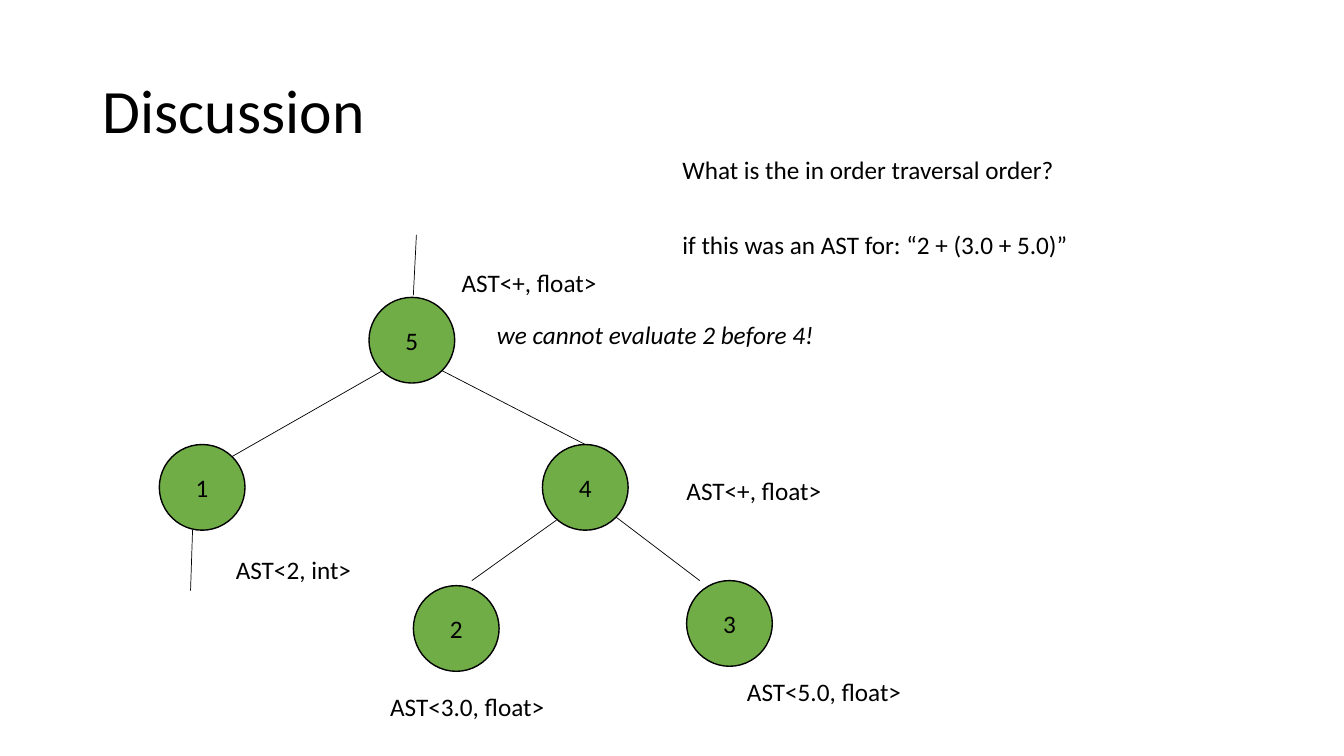
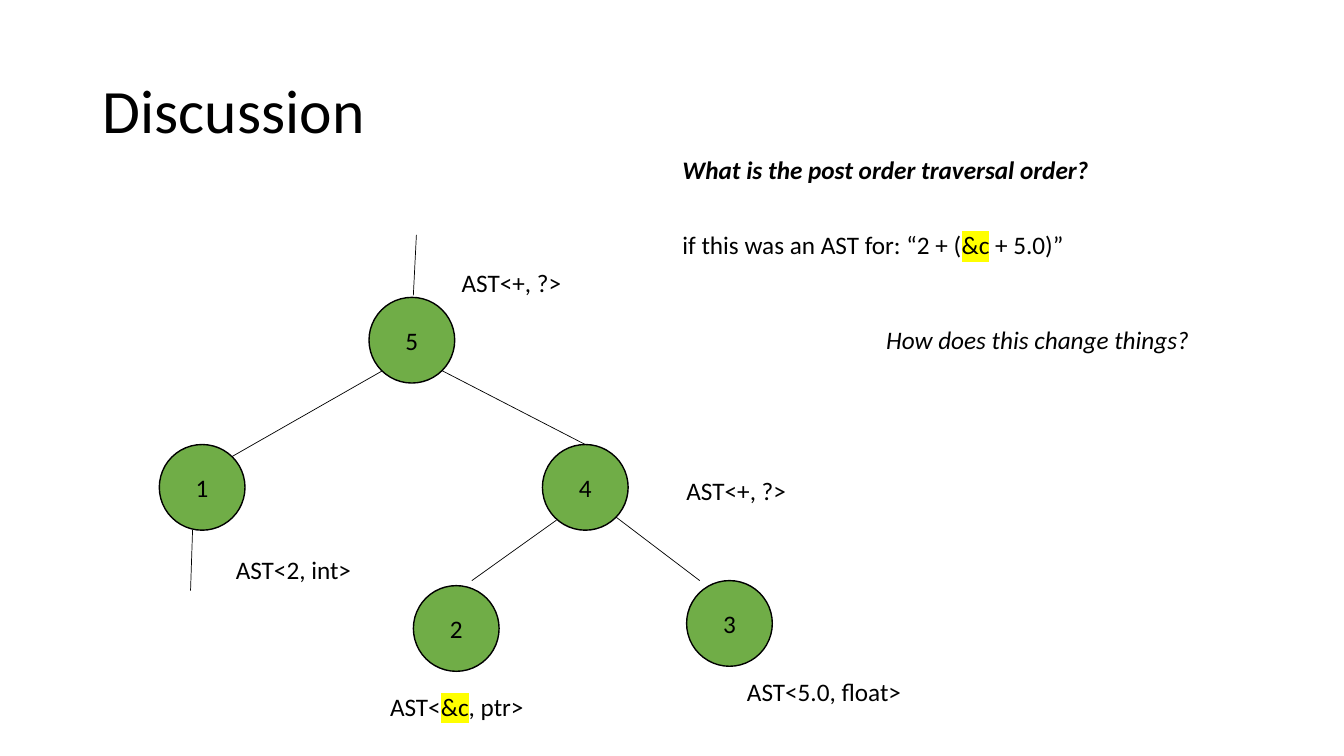
"""Build two discussion slides about traversing an abstract syntax tree."""
import pptx
import pptx.dml.color
import pptx.enum.shapes
import pptx.enum.text
import pptx.oxml
import pptx.oxml.ns
import pptx.util

Inches = pptx.util.Inches
Pt = pptx.util.Pt
RGBColor = pptx.dml.color.RGBColor

BLACK = RGBColor(0, 0, 0)
GREEN = RGBColor(0x70, 0xAD, 0x47)
YELLOW = RGBColor(0xFF, 0xFF, 0)
FONT = "Calibri"
NODE_SIZE = 0.85

NODES = {"5": (3.66, 2.95), "1": (1.58, 4.41), "4": (5.38, 4.41),
         "2": (4.1, 5.81), "3": (6.81, 5.76)}
EDGES = [((3.79, 3.68), (2.3, 4.53), None),
         ((4.39, 3.68), (5.81, 4.41), "4"),
         ((4.13, 2.33), (4.1, 2.93), None),
         ((1.91, 5.26), (1.89, 5.86), None),
         ((5.52, 5.16), (4.68, 5.76), None),
         ((6.11, 5.13), (6.94, 5.76), None)]
QUESTION = (6.67, 1.48)
EXPRESSION = (6.67, 2.23)
LABELS = {"5": (4.48, 2.6), "1": (2.24, 5.45), "4": (6.71, 4.67),
          "2": (3.77, 6.81), "3": (7.31, 6.66)}

SLIDES = [
    [("What is the in order traversal order?", QUESTION, 3.93, {}),
     ("if this was an AST for: “2 + (3.0 + 5.0)”", EXPRESSION, 4.07, {}),
     ("AST<+, float>", LABELS["5"], 1.55, {}),
     ("AST<2, int>", LABELS["1"], 1.36, {}),
     ("AST<+, float>", LABELS["4"], 1.55, {}),
     ("AST<3.0, float>", LABELS["2"], 1.75, {}),
     ("AST<5.0, float>", LABELS["3"], 1.75, {}),
     ("we cannot evaluate 2 before 4!", (4.83, 3.12), 3.39, {"italic": True})],
    [("What is the post order traversal order?", QUESTION, 4.29,
      {"bold": True, "italic": True}),
     ("if this was an AST for: “2 + (&c + 5.0)”", EXPRESSION, 4.04, {"mark": "&c"}),
     ("AST<+, ?>", LABELS["5"], 1.2, {}),
     ("AST<2, int>", LABELS["1"], 1.36, {}),
     ("AST<+, ?>", LABELS["4"], 1.2, {}),
     ("AST<&c, ptr>", LABELS["2"], 1.54, {"mark": "&c"}),
     ("AST<5.0, float>", LABELS["3"], 1.75, {}),
     ("How does this change things?", (8.69, 3.17), 3.25, {"italic": True})],
]


def write(tf, text, size=18, bold=False, italic=False, mark=None,
          align=pptx.enum.text.PP_ALIGN.LEFT, spacing=1.0):
    p = tf.paragraphs[0]
    p.alignment = align
    p.line_spacing = spacing
    for part in text.partition(mark) if mark else [text]:
        r = p.add_run()
        r.text = part
        r.font.size = Pt(size)
        r.font.bold = bold
        r.font.italic = italic
        r.font.name = FONT
        r.font.color.rgb = BLACK
        if part == mark:
            fill = r.font.fill._xPr.find(pptx.oxml.ns.qn("a:solidFill"))
            fill.addnext(pptx.oxml.parse_xml(
                f'<a:highlight {pptx.oxml.ns.nsdecls("a")}>'
                f'<a:srgbClr val="{YELLOW}"/></a:highlight>'))


class Deck:
    def __init__(self):
        self.prs = pptx.Presentation()
        self.prs.slide_width = Inches(13.33)
        self.prs.slide_height = Inches(7.5)
        self.s = None

    def slide(self, title):
        self.s = self.prs.slides.add_slide(self.prs.slide_layouts[5])
        sp = self.s.shapes.title
        sp.left, sp.top = Inches(0.92), Inches(0.4)
        sp.width, sp.height = Inches(11.5), Inches(1.45)
        sp.text_frame.vertical_anchor = pptx.enum.text.MSO_ANCHOR.MIDDLE
        write(sp.text_frame, title, size=44, spacing=0.9)

    def node(self, text, at):
        x, y = at
        sp = self.s.shapes.add_shape(
            pptx.enum.shapes.MSO_SHAPE.OVAL, Inches(x), Inches(y),
            Inches(NODE_SIZE), Inches(NODE_SIZE))
        sp.shadow.inherit = False
        sp.fill.solid()
        sp.fill.fore_color.rgb = GREEN
        sp.line.color.rgb = BLACK
        sp.line.width = Pt(1)
        sp.text_frame.vertical_anchor = pptx.enum.text.MSO_ANCHOR.MIDDLE
        write(sp.text_frame, text, align=pptx.enum.text.PP_ALIGN.CENTER)
        return sp

    def edge(self, start, end, child=None):
        sp = self.s.shapes.add_connector(
            pptx.enum.shapes.MSO_CONNECTOR.STRAIGHT,
            *(Inches(v) for v in (*start, *end)))
        sp.line.color.rgb = BLACK
        sp.line.width = Pt(0.5)
        sp._element.spPr.append(pptx.oxml.parse_xml(
            f'<a:effectLst {pptx.oxml.ns.nsdecls("a")}/>'))
        if child is not None:
            sp.end_connect(child, 0)

    def label(self, text, at, width, **style):
        x, y = at
        sp = self.s.shapes.add_textbox(Inches(x), Inches(y), Inches(width), Inches(0.4))
        tf = sp.text_frame
        tf.word_wrap = False
        tf.auto_size = pptx.enum.text.MSO_AUTO_SIZE.SHAPE_TO_FIT_TEXT
        write(tf, text, **style)

    def tree(self):
        nodes = {name: self.node(name, at) for name, at in NODES.items()}
        for start, end, child in EDGES:
            self.edge(start, end, nodes.get(child))


def main():
    deck = Deck()
    for labels in SLIDES:
        deck.slide("Discussion")
        deck.tree()
        for text, at, width, style in labels:
            deck.label(text, at, width, **style)
    deck.prs.save("out.pptx")


if __name__ == "__main__":
    main()
